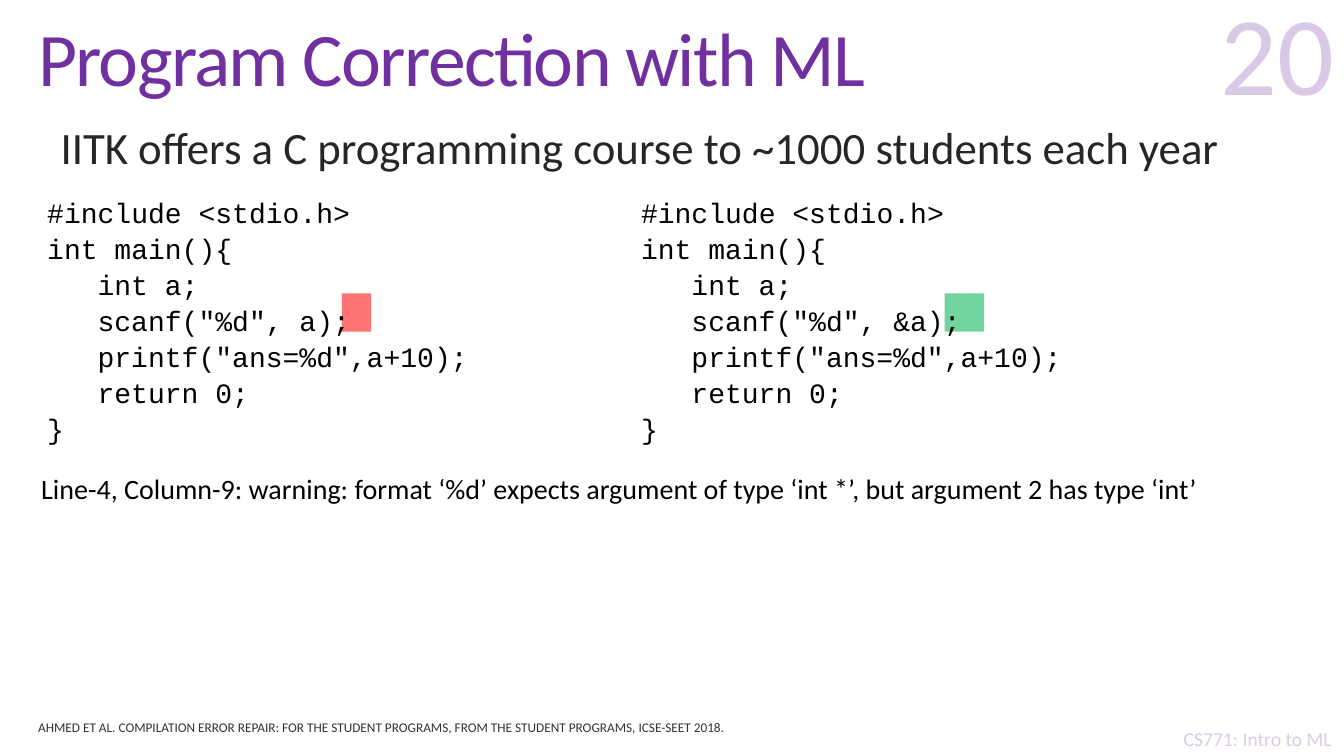
from lxml import etree
from pptx import Presentation
from pptx.dml.color import RGBColor
from pptx.enum.shapes import MSO_SHAPE
from pptx.enum.text import MSO_ANCHOR, PP_ALIGN
from pptx.oxml.ns import qn
from pptx.util import Inches, Pt

TITLE = "Program Correction with ML"
PAGE_NUMBER = "20"
COURSE = "CS771: Intro to ML"
STATEMENT = "IITK offers a C programming course to ~1000 students each year"
WARNING = ("Line-4, Column-9: warning: format ‘%d’ expects argument of type "
           "‘int *’, but argument 2 has type ‘int’")
CITATION = ("AHMED ET AL. COMPILATION ERROR REPAIR: FOR THE STUDENT PROGRAMS, "
            "FROM THE STUDENT PROGRAMS, ICSE-SEET 2018.")
PROGRAM = """#include <stdio.h>
int main(){{
\tint a;
\tscanf("%d", {argument});
\tprintf("ans=%d",a+10);
\treturn 0;
}}"""
# argument, program left and width, highlight left and width, highlight colour
VERSIONS = [
    ("a", 0.37, 5.04, 3.39, 0.29, "wrong"),
    ("&a", 6.26, 4.97, 9.37, 0.39, "fixed"),
]

THEME = {
    "font": "Calibri", "code_font": "Courier New",
    "accent": "7030A0", "body": "262626", "text": "000000",
    "paper": "FFFFFF", "wrong": "FF0000", "fixed": "00B050",
    "title_size": 54, "number_size": 80, "statement_size": 32,
    "text_size": 20, "course_size": 14, "citation_size": 9.5,
}


def set_opacity(color_parent, percent):
    color = color_parent.find(".//" + qn("a:srgbClr"))
    etree.SubElement(color, qn("a:alpha")).set("val", str(percent * 1000))


def add_text(page, text, left, top, width, height, size, color,
             font="font", anchor=MSO_ANCHOR.TOP, align=PP_ALIGN.LEFT,
             line_spacing=None):
    box = page.shapes.add_textbox(Inches(left), Inches(top),
                                  Inches(width), Inches(height))
    frame = box.text_frame
    frame.word_wrap = True
    frame.vertical_anchor = anchor
    frame.text = text
    for para in frame.paragraphs:
        para.alignment = align
        para.line_spacing = line_spacing
        para.font.name = THEME[font]
        para.font.size = Pt(THEME[size])
        para.font.color.rgb = RGBColor.from_string(THEME[color])
    return frame.paragraphs[0]


def fade_text(para, percent):
    span = para.runs[0]
    span.font.color.rgb = para.font.color.rgb
    set_opacity(span.font._element, percent)


def add_tint(page, left, top, width, height, color, opacity):
    tint = page.shapes.add_shape(MSO_SHAPE.RECTANGLE, Inches(left), Inches(top),
                                 Inches(width), Inches(height))
    tint.shadow.inherit = False
    tint.line.fill.background()
    tint.fill.solid()
    tint.fill.fore_color.rgb = RGBColor.from_string(THEME[color])
    set_opacity(tint._element.spPr, opacity)


def add_hanging_indent(para, inches):
    properties = para._p.get_or_add_pPr()
    properties.set("marL", str(Inches(inches)))
    properties.set("indent", str(-Inches(inches)))
    bullet = etree.Element(qn("a:buChar"))
    bullet.set("char", " ")
    properties.find(qn("a:defRPr")).addprevious(bullet)


def main():
    deck = Presentation()
    deck.slide_width, deck.slide_height = Inches(13.33), Inches(7.5)
    page = deck.slides.add_slide(deck.slide_layouts[6])

    add_text(page, COURSE, 11.52, 7.16, 1.91, 0.34, "course_size", "accent",
             align=PP_ALIGN.CENTER)
    add_tint(page, 11.64, 5.68, 1.69, 1.82, "paper", 75)

    statement = add_text(page, STATEMENT, 0.28, 1.22, 12.69, 5.8,
                         "statement_size", "body", line_spacing=0.85)
    statement.space_before = Pt(13)
    add_hanging_indent(statement, 0.1)

    title = add_text(page, TITLE, 0.28, 0.04, 12.69, 1.18, "title_size", "accent",
                     anchor=MSO_ANCHOR.MIDDLE, line_spacing=0.85)
    title.runs[0].font._element.set("spc", "-120")

    number = add_text(page, PAGE_NUMBER, 10.13, 0.05, 3.2, 1.17, "number_size",
                      "accent", anchor=MSO_ANCHOR.BOTTOM, align=PP_ALIGN.RIGHT)
    fade_text(number, 25)

    for argument, left, width, tint_left, tint_width, color in VERSIONS:
        add_tint(page, tint_left, 2.91, tint_width, 0.38, color, 55)
        add_text(page, PROGRAM.format(argument=argument), left, 1.87, width, 2.46,
                 "text_size", "text", font="code_font", line_spacing=1.07)

    add_text(page, WARNING, 0.31, 4.63, 12.71, 0.44, "text_size", "text")
    citation = add_text(page, CITATION, 0.28, 7.01, 9.49, 0.41, "citation_size",
                        "text", anchor=MSO_ANCHOR.MIDDLE)
    fade_text(citation, 80)

    deck.save("out.pptx")


if __name__ == "__main__":
    main()
